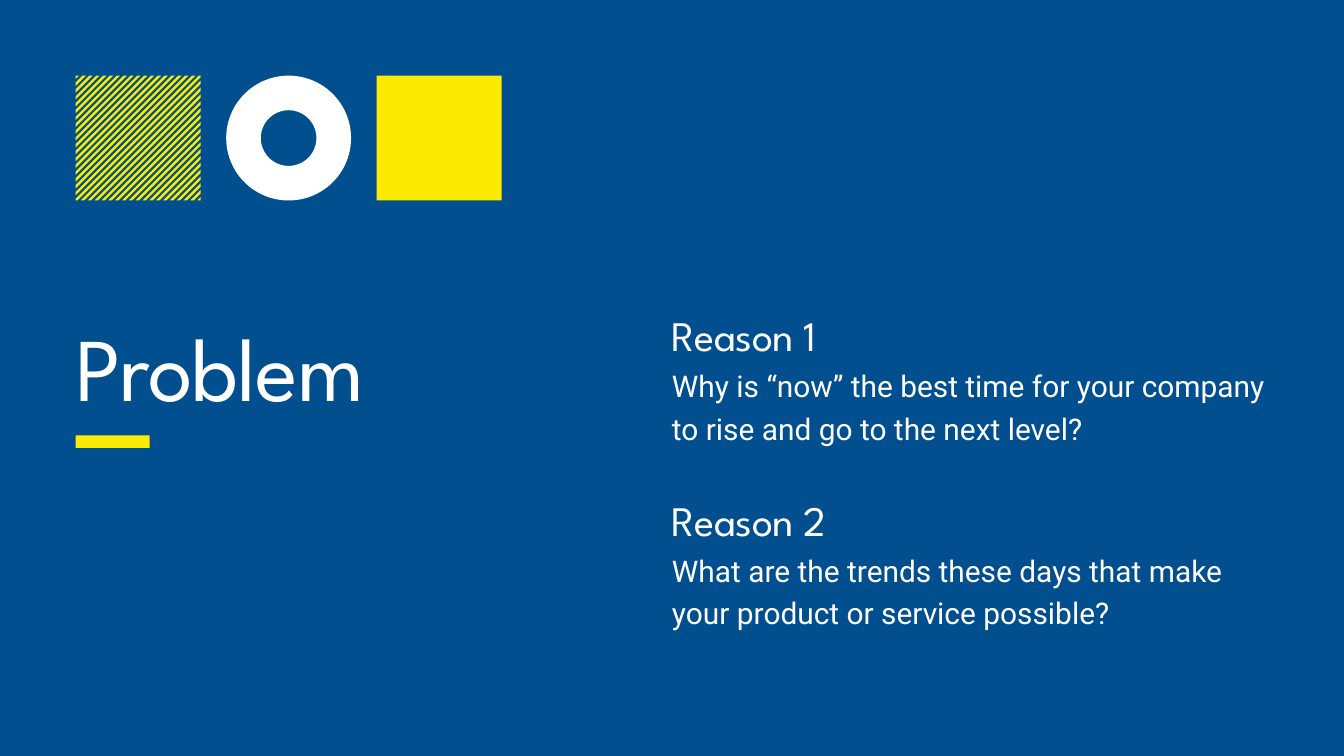
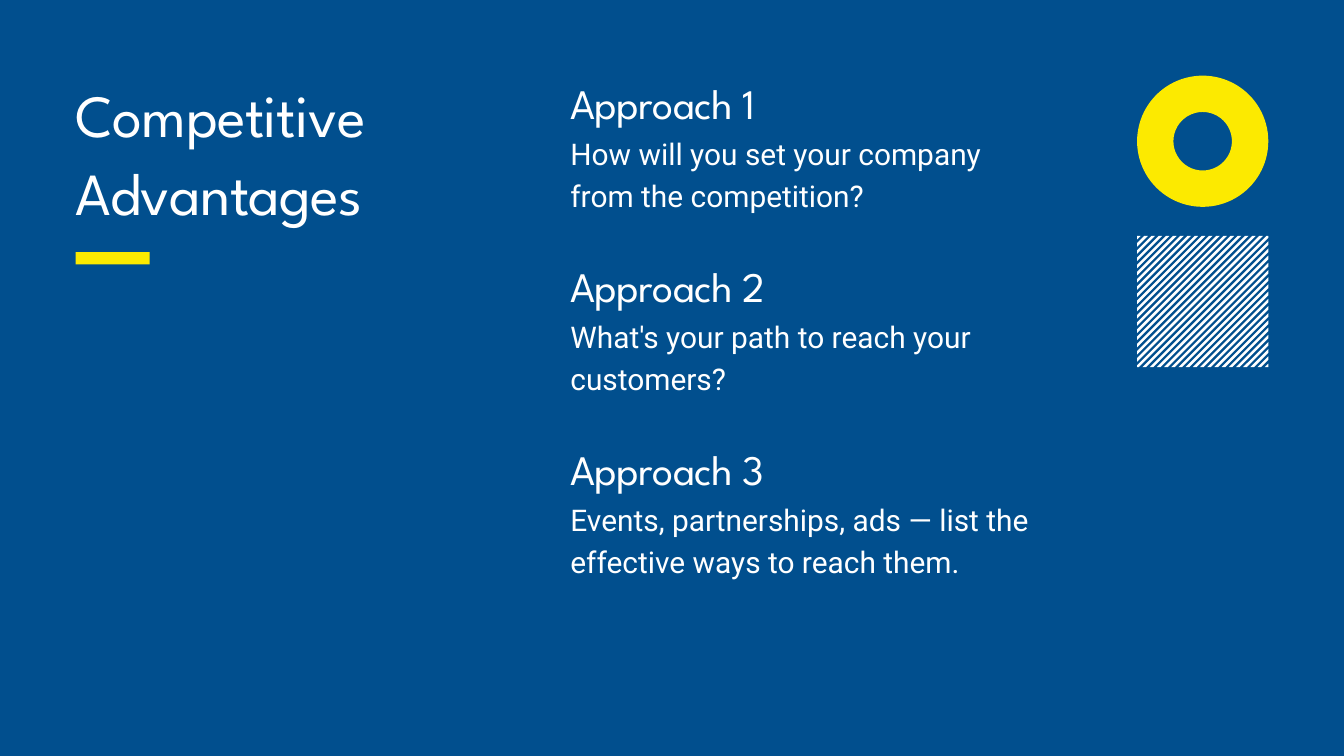
from dataclasses import dataclass

from pptx import Presentation
from pptx.dml.color import RGBColor
from pptx.enum.shapes import MSO_SHAPE as Shape
from pptx.enum.text import MSO_AUTO_SIZE as AutoSize
from pptx.util import Cm, Pt


# Theme: colours and type sizes
@dataclass(frozen=True)
class TextStyle:
    font: str
    size: int
    line: float  # exact line spacing in points
    tight: bool = False  # tracking of -1 % of the size


@dataclass(frozen=True)
class Theme:
    blue: RGBColor = RGBColor(0x01, 0x4F, 0x8E)
    yellow: RGBColor = RGBColor(0xFC, 0xEA, 0x00)
    white: RGBColor = RGBColor(0xFF, 0xFF, 0xFF)
    big_title: TextStyle = TextStyle("League Spartan", 96, 124.8, True)
    title: TextStyle = TextStyle("League Spartan", 64, 83.2, True)
    heading: TextStyle = TextStyle("League Spartan", 45, 58.5, True)
    body: TextStyle = TextStyle("Roboto", 32, 45.4)


MARGIN = 2.86
HEADING_HEIGHT, BODY_HEIGHT, BODY_OFFSET = 1.99, 3.1, 2.1
RING_THICKNESS = 0.277
HATCH_GRID = 73  # units per side: 37 stripes and 36 gaps along the diagonal
FRAME_FORMAT = dict(margin_left=0, margin_top=0, margin_right=0,
                    margin_bottom=0, word_wrap=True,
                    auto_size=AutoSize.SHAPE_TO_FIT_TEXT)


def apply(target, **values):
    for name, value in values.items():
        setattr(target, name, value)


class Deck:
    """Holds the theme and the current slide; all lengths are in cm."""

    def __init__(self, theme, width, height):
        self.theme = theme
        self.prs = Presentation()
        apply(self.prs, slide_width=Cm(width), slide_height=Cm(height))

    def new_slide(self):
        self.slide = self.prs.slides.add_slide(self.prs.slide_layouts[6])
        fill = self.slide.background.fill
        fill.solid()
        fill.fore_color.rgb = self.theme.blue

    def paint(self, shape, color):
        shape.shadow.inherit = False
        shape.fill.solid()
        shape.fill.fore_color.rgb = color
        shape.line.fill.background()

    def text(self, words, style, left, top, width, height):
        box = self.slide.shapes.add_textbox(*map(Cm, (left, top, width, height)))
        frame = box.text_frame
        apply(frame, **FRAME_FORMAT)
        frame.text = words
        for paragraph in frame.paragraphs:
            paragraph.line_spacing = Pt(style.line)
            for run in paragraph.runs:
                apply(run.font, name=style.font, size=Pt(style.size))
                run.font.color.rgb = self.theme.white
                if style.tight:
                    run._r.get_or_add_rPr().set("spc", str(-style.size))

    def preset(self, kind, color, left, top, width, height):
        shape = self.slide.shapes.add_shape(kind, *map(Cm, (left, top, width, height)))
        self.paint(shape, color)
        return shape

    # Decorative tiles
    def square(self, color, left, top, side):
        self.preset(Shape.RECTANGLE, color, left, top, side, side)

    def ring(self, color, left, top, side):
        ring = self.preset(Shape.DONUT, color, left, top, side, side)
        ring.adjustments[0] = RING_THICKNESS

    def hatch(self, color, left, top, side):
        n = HATCH_GRID

        def diagonal(total):
            """Ends of the line x + y = total inside the square."""
            near, far = max(0, total - n), min(total, n)
            return (far, near), (near, far)

        builder = self.slide.shapes.build_freeform(0, 0, scale=Cm(side) / n)
        for start in range(0, 2 * n, 4):
            (upper_a, lower_a), (upper_b, lower_b) = diagonal(start), diagonal(start + 2)
            outline = [upper_a, upper_b, lower_b, lower_a]
            if start < n < start + 2:  # the middle stripe takes in two corners
                outline = [upper_a, (n, 0), upper_b, lower_b, (0, n), lower_a]
            builder.move_to(*outline[0])
            builder.add_line_segments(outline[1:], close=True)
        self.paint(builder.convert_to_shape(Cm(left), Cm(top)), color)

    def motif(self, tiles, left, top, side, step_x=0, step_y=0):
        for i, (draw, color) in enumerate(tiles):
            draw(color, left + i * step_x, top + i * step_y, side)

    # Title with its bar, and the list of points
    def title(self, words, style, top, width, height, bar_top):
        self.text(words, style, MARGIN, top, width, height)
        self.preset(Shape.RECTANGLE, self.theme.yellow, MARGIN, bar_top, 2.8, 0.47)

    def points(self, items, left, top, width, step):
        for i, (heading, body) in enumerate(items):
            y = top + i * step
            self.text(heading, self.theme.heading, left, y, width, HEADING_HEIGHT)
            self.text(body, self.theme.body, left, y + BODY_OFFSET, width, BODY_HEIGHT)


def main():
    theme = Theme()
    deck = Deck(theme, 50.8, 28.58)

    # Problem
    deck.new_slide()
    deck.title("Problem", theme.big_title, 11.46, 19.51, 4.22, bar_top=16.46)
    deck.motif([(deck.hatch, theme.yellow), (deck.ring, theme.white),
                (deck.square, theme.yellow)], MARGIN, MARGIN, 4.72, step_x=5.69)
    reasons = [
        ("Reason 1", "Why is “now” the best time for your company to rise "
                     "and go to the next level?"),
        ("Reason 2", "What are the trends these days that make your product "
                     "or service possible?"),
    ]
    deck.points(reasons, 25.4, 11.56, 22.56, step=6.99)

    # Competitive advantages
    deck.new_slide()
    deck.title("Competitive Advantages", theme.title, 2.72, 15.75, 5.74, bar_top=9.53)
    deck.motif([(deck.ring, theme.yellow), (deck.hatch, theme.white)],
               42.98, MARGIN, 4.96, step_y=6.06)
    approaches = [
        ("Approach 1", "How will you set your company\nfrom the competition?"),
        ("Approach 2", "What's your path to reach your customers?"),
        ("Approach 3", "Events, partnerships, ads — list the effective ways "
                       "to reach them."),
    ]
    deck.points(approaches, 21.56, 2.77, 18.19, step=6.92)

    deck.prs.save("out.pptx")


if __name__ == "__main__":
    main()
